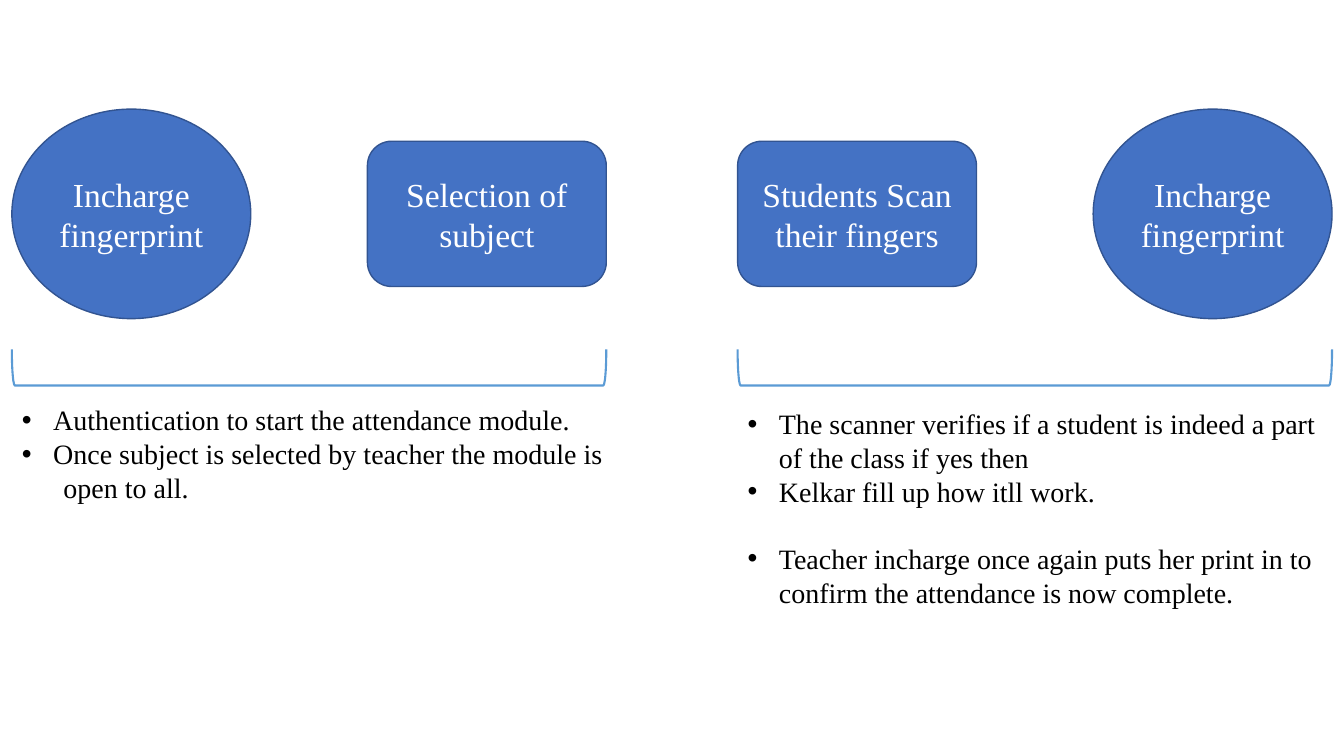
from lxml.etree import SubElement
from pptx import Presentation
from pptx.dml.color import RGBColor
from pptx.enum.shapes import MSO_SHAPE as Preset
from pptx.enum.text import MSO_ANCHOR as Anchor, MSO_AUTO_SIZE as AutoSize, PP_ALIGN as Align
from pptx.oxml.ns import qn
from pptx.util import Cm, Pt

BLUE = RGBColor(0x44, 0x72, 0xC4)
DARK_BLUE = RGBColor(0x32, 0x54, 0x91)
LIGHT_BLUE = RGBColor(0x5B, 0x9B, 0xD5)
WHITE = RGBColor(0xFF, 0xFF, 0xFF)
BLACK = RGBColor(0, 0, 0)
FONT = "Times New Roman"

START_LEFT, SCAN_LEFT = 0.3, 18.59
STEP_WIDTH, STEP_PITCH, STEP_MIDDLE = 6.02, 8.96, 5.39
BRACKET_MIDDLE, BRACKET_DEPTH = 9.26, 0.91
BULLET_INDENT, CONTINUATION_INDENT = 0.79, 1.05


def format_text(paragraph, size, color):
    for run in paragraph.runs:
        run.font.name = FONT
        run.font.size = Pt(size)
        run.font.color.rgb = color


def add_step(slide, preset, left, height, text):
    shape = slide.shapes.add_shape(
        preset, Cm(left), Cm(STEP_MIDDLE - height / 2), Cm(STEP_WIDTH), Cm(height))
    shape.shadow.inherit = False
    shape.fill.solid()
    shape.fill.fore_color.rgb = BLUE
    shape.line.color.rgb = DARK_BLUE
    shape.line.width = Pt(1)
    text_frame = shape.text_frame
    text_frame.text = text
    text_frame.word_wrap = True
    text_frame.vertical_anchor = Anchor.MIDDLE
    paragraph = text_frame.paragraphs[0]
    paragraph.alignment = Align.CENTER
    format_text(paragraph, 24, WHITE)


def add_circle(slide, left, text):
    add_step(slide, Preset.OVAL, left, 5.28, text)


def add_box(slide, left, text):
    add_step(slide, Preset.ROUNDED_RECTANGLE, left, 3.66, text)


def add_bracket(slide, left):
    span = STEP_PITCH + STEP_WIDTH
    shape = slide.shapes.add_shape(
        Preset.LEFT_BRACKET,
        Cm(left + (span - BRACKET_DEPTH) / 2), Cm(BRACKET_MIDDLE - span / 2),
        Cm(BRACKET_DEPTH), Cm(span))
    shape.rotation = 270
    shape.shadow.inherit = False
    shape.fill.background()
    shape.line.color.rgb = LIGHT_BLUE
    shape.line.width = Pt(1.5)


def set_indent(paragraph, margin, bulleted):
    properties = paragraph._p.get_or_add_pPr()
    properties.set("marL", str(Cm(margin)))
    if bulleted:
        properties.set("indent", str(-Cm(margin)))
        SubElement(properties, qn("a:buFont")).set("typeface", "Arial")
        SubElement(properties, qn("a:buChar")).set("char", "•")


def add_notes(slide, left, top, height, lines):
    text_box = slide.shapes.add_textbox(Cm(left), Cm(top), Cm(15.46), Cm(height))
    text_frame = text_box.text_frame
    text_frame.word_wrap = True
    text_frame.auto_size = AutoSize.SHAPE_TO_FIT_TEXT
    text_frame.text = "\n".join(lines)
    for paragraph in text_frame.paragraphs:
        set_indent(paragraph, BULLET_INDENT, True)
        format_text(paragraph, 20, BLACK)
    return text_frame


def add_continuation(text_frame, text):
    paragraph = text_frame.add_paragraph()
    paragraph.text = text
    set_indent(paragraph, CONTINUATION_INDENT, False)
    format_text(paragraph, 20, BLACK)


def main():
    presentation = Presentation()
    presentation.slide_width = Cm(33.87)
    presentation.slide_height = Cm(19.05)
    slide = presentation.slides.add_slide(presentation.slide_layouts[6])

    add_box(slide, START_LEFT + STEP_PITCH, "Selection of subject")
    add_box(slide, SCAN_LEFT, "Students Scan their fingers")
    add_circle(slide, START_LEFT, "Incharge fingerprint")
    add_circle(slide, SCAN_LEFT + STEP_PITCH, "Incharge fingerprint")

    add_bracket(slide, START_LEFT)
    start_notes = add_notes(slide, START_LEFT, 10.03, 3.58, [
        "Authentication to start the attendance module.",
        "Once subject is selected by teacher the module is",
    ])
    add_continuation(start_notes, "open to all.")

    add_bracket(slide, SCAN_LEFT)
    scan_notes = add_notes(slide, SCAN_LEFT, 10.13, 6.15, [
        "The scanner verifies if a student is indeed a part of the class if yes then",
        "Kelkar fill up how itll work.",
        "Teacher incharge once again puts her print in to confirm the attendance is now complete.",
    ])
    scan_notes.paragraphs[-1].space_before = Pt(24)

    presentation.save("out.pptx")


if __name__ == "__main__":
    main()
